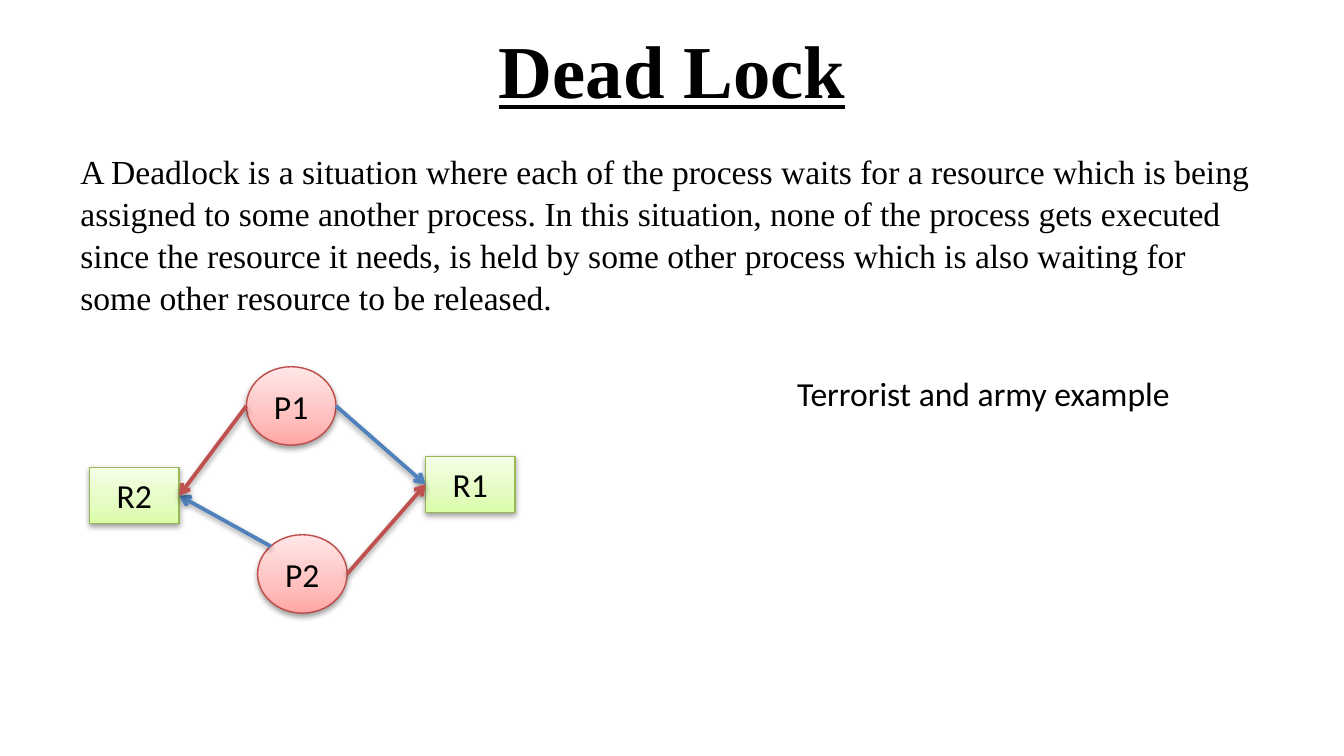
from copy import deepcopy
from math import sqrt

from pptx import Presentation
from pptx.dml.color import RGBColor
from pptx.enum.shapes import MSO_CONNECTOR, MSO_SHAPE
from pptx.enum.text import MSO_ANCHOR, PP_ALIGN
from pptx.oxml import parse_xml
from pptx.oxml.ns import nsdecls, qn
from pptx.util import Inches, Pt

CELL = Inches(1 / 12)  # the slide is a grid of 120 columns by 67.5 rows
COLUMNS, ROWS = 120, 67.5
NODE_WIDTH, PROCESS_HEIGHT, RESOURCE_HEIGHT = 8, 7, 5
LEFT_SIDE, RIGHT_SIDE = 1, 3

BLACK = RGBColor(0x00, 0x00, 0x00)
BLUE = RGBColor(0x4F, 0x81, 0xBD)
RED = RGBColor(0xC0, 0x50, 0x4D)
PROCESS_LINE = RGBColor(0xBF, 0x4C, 0x48)
RESOURCE_LINE = RGBColor(0x98, 0xB9, 0x55)
PROCESS_FILL = (RGBColor(0xFF, 0xA6, 0xA5), RGBColor(0xFF, 0xC0, 0xBF), RGBColor(0xFF, 0xE7, 0xE7))
RESOURCE_FILL = (RGBColor(0xDA, 0xFD, 0xA7), RGBColor(0xE4, 0xFC, 0xC2), RGBColor(0xF5, 0xFF, 0xE7))
STOP_POSITIONS = (0, 0.35, 1)

SHADOW = (
    f'<a:effectLst {nsdecls("a")}><a:outerShdw blurRad="40000" dist="20000" dir="5400000" '
    'rotWithShape="0"><a:srgbClr val="000000"><a:alpha val="38000"/></a:srgbClr>'
    '</a:outerShdw></a:effectLst>'
)


def cells(*counts):
    return [round(count * CELL) for count in counts]


def write(shape, text, size, font_name="Calibri", align=PP_ALIGN.LEFT):
    paragraph = shape.text_frame.paragraphs[0]
    paragraph.text = text
    paragraph.alignment = align
    font = paragraph.font
    font.name, font.size, font.color.rgb = font_name, Pt(size), BLACK
    return paragraph


def add_title(slide, box):
    title = slide.shapes.add_textbox(*cells(*box))
    title.text_frame.word_wrap = True
    title.text_frame.vertical_anchor = MSO_ANCHOR.MIDDLE
    font = write(title, "Dead Lock", 40, "Times New Roman", PP_ALIGN.CENTER).font
    font.bold = font.underline = True


def add_definition(slide, box):
    definition = slide.shapes.add_textbox(*cells(*box))
    definition.text_frame.word_wrap = True
    paragraph = write(
        definition,
        "A Deadlock is a situation where each of the process waits for a resource which is "
        "being assigned to some another process. In this situation, none of the process gets "
        "executed since the resource it needs, is held by some other process which is also "
        "waiting for some other resource to be released.",
        18, "Times New Roman",
    )
    paragraph.line_spacing = 1.04


def add_example(slide, box):
    example = slide.shapes.add_textbox(*cells(*box))
    example.text_frame.word_wrap = False
    write(example, "Terrorist and army example", 18)


def add_node(slide, preset, label, box, colours, line_colour):
    node = slide.shapes.add_shape(preset, *cells(*box))
    node.shadow.inherit = False
    node.fill.gradient()
    node.fill.gradient_angle = 90
    stop_list = node.fill._xPr.find(".//" + qn("a:gsLst"))
    stop_list.insert(1, deepcopy(stop_list[0]))
    for stop, colour, position in zip(node.fill.gradient_stops, colours, STOP_POSITIONS):
        stop.color.rgb, stop.position = colour, position
    node.line.color.rgb, node.line.width = line_colour, Pt(0.75)
    properties = node._element.spPr
    properties.replace(properties.find(qn("a:effectLst")), parse_xml(SHADOW))
    node.text_frame.vertical_anchor = MSO_ANCHOR.MIDDLE
    write(node, label, 18, align=PP_ALIGN.CENTER)
    return node


def rim_point(oval, across, down):
    """Point of the oval's rim in a direction given as a unit vector."""
    return (round(oval.left + oval.width * (1 + across) / 2),
            round(oval.top + oval.height * (1 + down) / 2))


def add_arrow(slide, start, resource, side, colour):
    arrow = slide.shapes.add_connector(MSO_CONNECTOR.STRAIGHT, *start, *start)
    arrow.end_connect(resource, side)
    arrow.line.color.rgb, arrow.line.width = colour, Pt(2)
    arrow.line._get_or_add_ln().append(parse_xml(f'<a:tailEnd {nsdecls("a")} type="arrow"/>'))
    arrow._element.spPr.append(parse_xml(SHADOW))


def add_wait_cycle(slide, left, top):
    def process(label, column, row):
        box = (left + column, top + row, NODE_WIDTH, PROCESS_HEIGHT)
        return add_node(slide, MSO_SHAPE.OVAL, label, box, PROCESS_FILL, PROCESS_LINE)

    def resource(label, column, row):
        box = (left + column, top + row, NODE_WIDTH, RESOURCE_HEIGHT)
        return add_node(slide, MSO_SHAPE.RECTANGLE, label, box, RESOURCE_FILL, RESOURCE_LINE)

    p1, p2 = process("P1", 14, 0), process("P2", 15, 15)
    r1, r2 = resource("R1", 30, 8), resource("R2", 0, 9)
    diagonal = -1 / sqrt(2)
    add_arrow(slide, rim_point(p1, 1, 0), r1, LEFT_SIDE, BLUE)
    add_arrow(slide, rim_point(p2, diagonal, diagonal), r2, RIGHT_SIDE, BLUE)
    add_arrow(slide, rim_point(p2, 1, 0), r1, LEFT_SIDE, RED)
    add_arrow(slide, rim_point(p1, -1, 0), r2, RIGHT_SIDE, RED)


def main():
    presentation = Presentation()
    presentation.slide_width, presentation.slide_height = cells(COLUMNS, ROWS)
    slide = presentation.slides.add_slide(presentation.slide_layouts[6])
    add_title(slide, (6, 0.5, 108, 11.25))
    add_definition(slide, (6, 12.75, 108, 44.5))
    add_wait_cycle(slide, 8, 32.75)
    add_example(slide, (70, 32.75, 36, 4.85))
    presentation.save("out.pptx")


if __name__ == "__main__":
    main()
